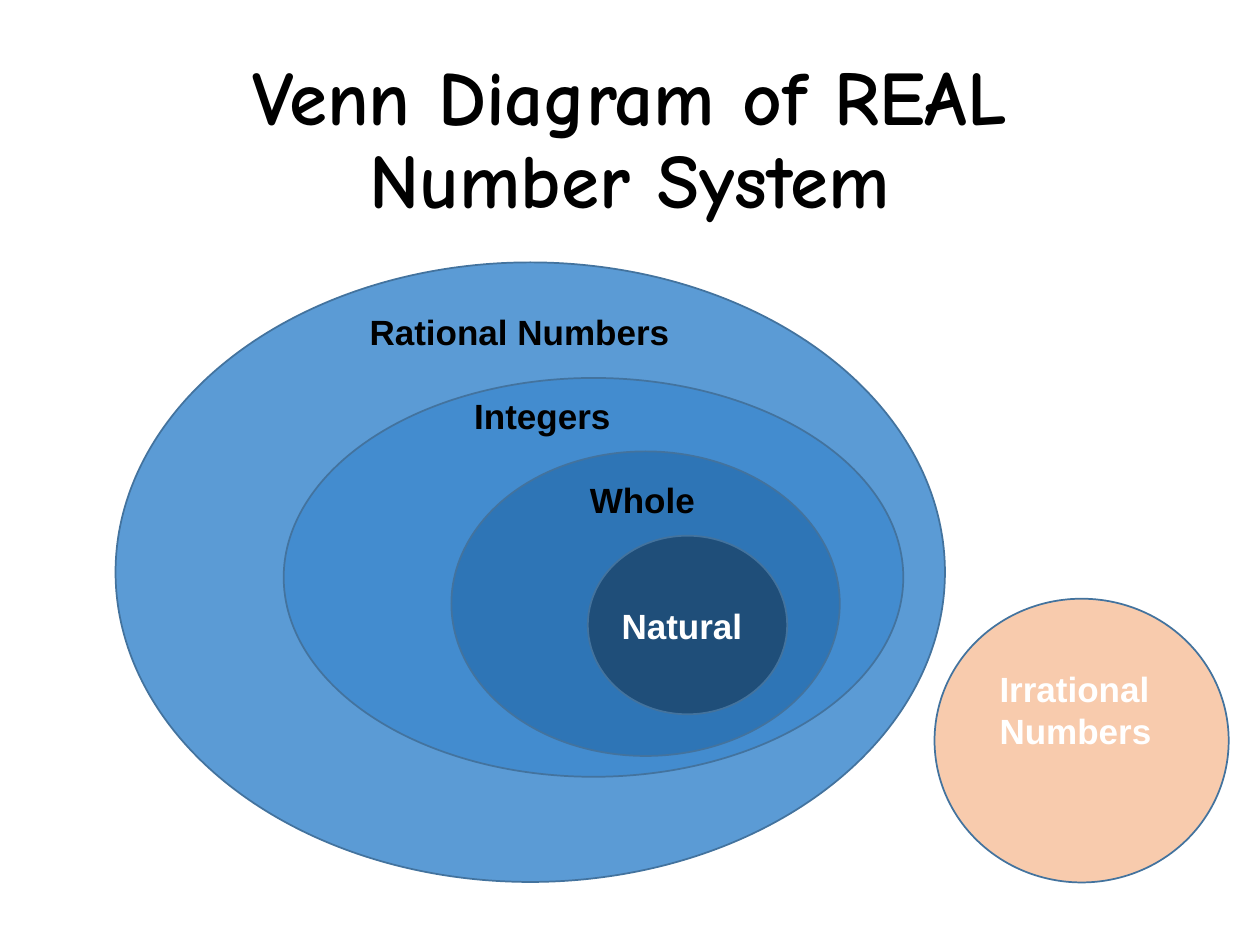
from pptx import Presentation
from pptx.dml.color import RGBColor
from pptx.enum.shapes import MSO_SHAPE as SHAPE
from pptx.enum.text import MSO_ANCHOR as ANCHOR, MSO_AUTO_SIZE as AUTO, PP_ALIGN as ALIGN
from pptx.util import Cm, Pt

TITLE_ONLY = 5


def rgb(value):
    return RGBColor.from_string(value)


def write(tf, text, font="Arial", size=20, color="000000", bold=True, align=None, spacing=None):
    """Fill a text frame with one paragraph; a vertical tab breaks the line."""
    p = tf.paragraphs[0]
    p.text = text
    p.alignment = align
    p.line_spacing = spacing
    for r in p.runs:
        r.font.name, r.font.size, r.font.bold = font, Pt(size), bold
        r.font.color.rgb = rgb(color)


class VennSlide:
    outline = "43739E"
    outline_width = 1

    def __init__(self, prs):
        self.s = prs.slides.add_slide(prs.slide_layouts[TITLE_ONLY])

    def title(self, text, left, top, width, height):
        sp = self.s.shapes.title
        sp.left, sp.top, sp.width, sp.height = map(Cm, (left, top, width, height))
        tf = sp.text_frame
        tf.word_wrap, tf.auto_size = True, AUTO.NONE
        tf.vertical_anchor = ANCHOR.MIDDLE
        write(tf, text, font="Comic Neue", size=44, align=ALIGN.CENTER, spacing=0.9)

    def ellipse(self, left, top, width, height, fill):
        sp = self.s.shapes.add_shape(SHAPE.OVAL, *map(Cm, (left, top, width, height)))
        sp.shadow.inherit = False
        sp.fill.solid()
        sp.fill.fore_color.rgb = rgb(fill)
        sp.line.color.rgb = rgb(self.outline)
        sp.line.width = Pt(self.outline_width)

    def label(self, text, left, top, width, height=1.11, color="000000"):
        sp = self.s.shapes.add_textbox(*map(Cm, (left, top, width, height)))
        tf = sp.text_frame
        tf.word_wrap, tf.auto_size = True, AUTO.SHAPE_TO_FIT_TEXT
        write(tf, text, color=color)


def main():
    prs = Presentation()
    prs.slide_width, prs.slide_height = Cm(25.4), Cm(19.05)

    venn = VennSlide(prs)
    venn.title("Venn Diagram of REAL\vNumber System", 1.75, 1.02, 21.9, 3.68)

    # Nested sets from the outside in, then the separate irrational set
    venn.ellipse(2.33, 5.29, 16.72, 12.49, "5B9BD5")
    venn.ellipse(5.72, 7.62, 12.49, 8.04, "438CCF")
    venn.ellipse(9.1, 9.1, 7.83, 6.14, "2E75B6")
    venn.ellipse(11.85, 10.8, 4.02, 3.6, "1F4E79")
    venn.ellipse(18.84, 12.07, 5.93, 5.72, "F8CBAD")

    venn.label("Rational Numbers", 7.2, 6.14, 6.99)
    venn.label("Integers", 9.31, 7.83, 3.81)
    venn.label("Whole", 11.64, 9.53, 3.18)
    venn.label("Natural", 12.28, 12.07, 3.18, color="FFFFFF")
    venn.label("Irrational Numbers", 19.9, 13.34, 4.23, 1.96, color="FFFFFF")

    prs.save("out.pptx")


if __name__ == "__main__":
    main()
